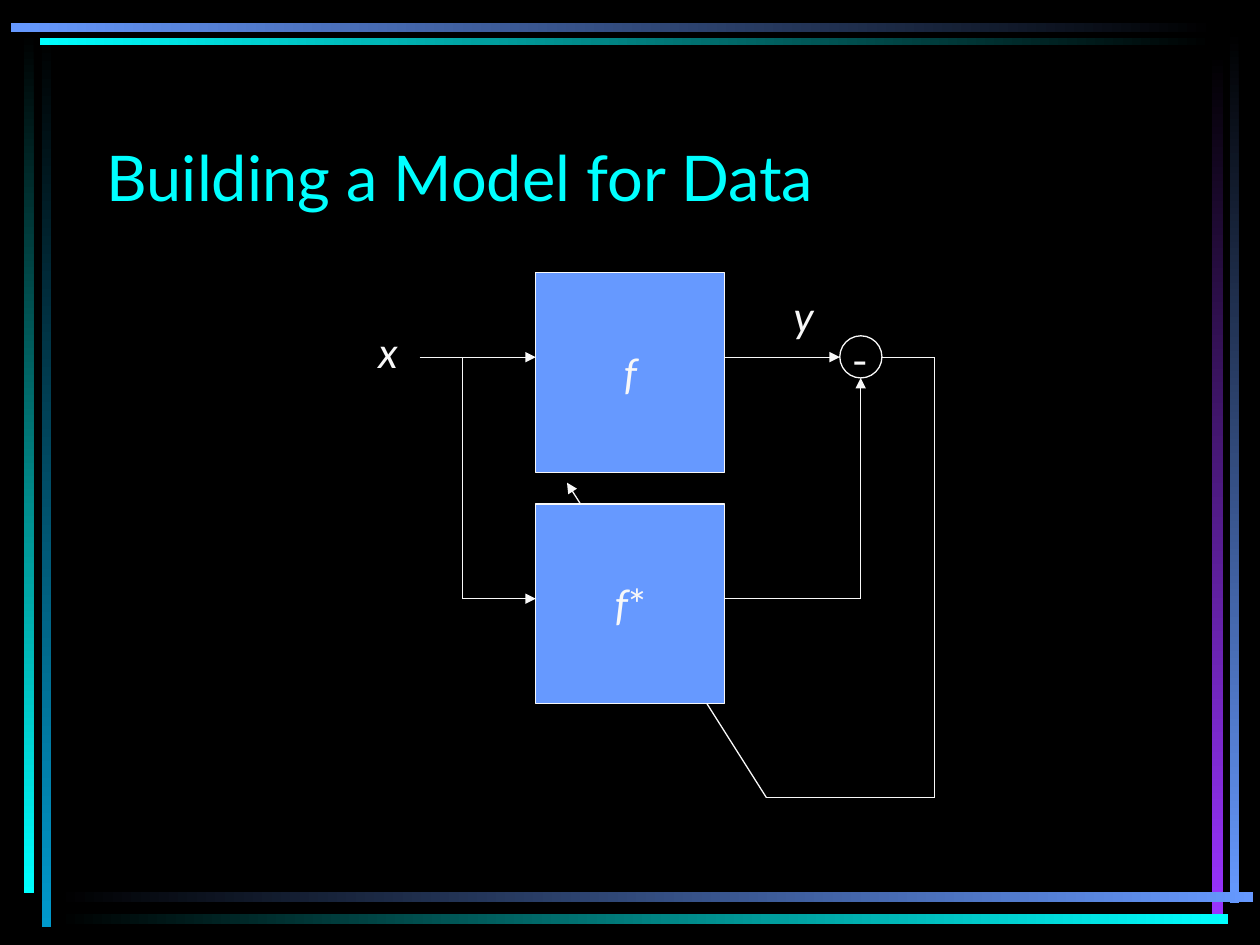
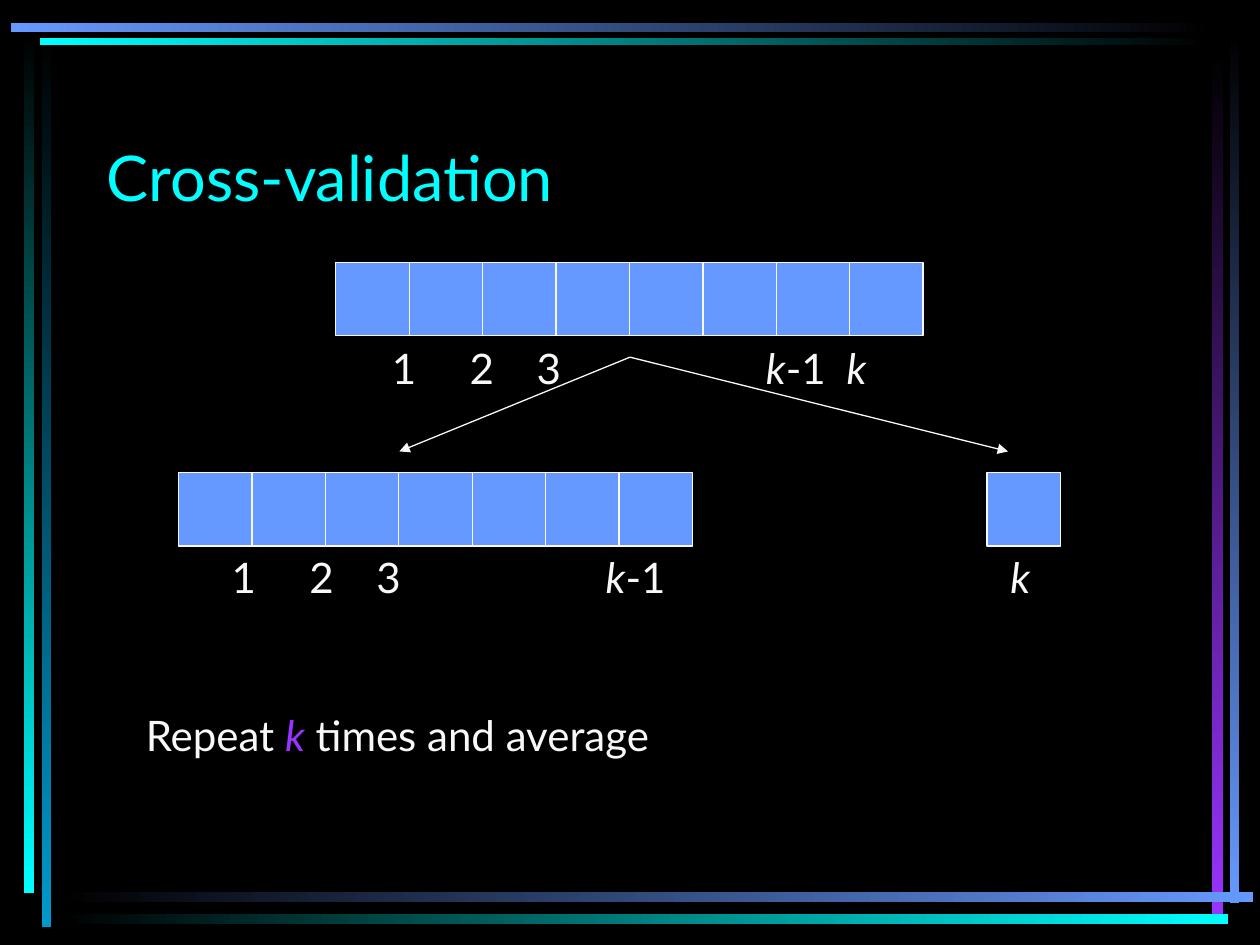
import pptx
import pptx.util
import pptx.dml.color
import pptx.enum.shapes
import pptx.enum.text
import pptx.oxml.ns
from lxml import etree

Cm, Pt = pptx.util.Cm, pptx.util.Pt
SHAPE = pptx.enum.shapes.MSO_SHAPE
ALIGN = pptx.enum.text.PP_ALIGN
ANCHOR = pptx.enum.text.MSO_ANCHOR
qn = pptx.oxml.ns.qn

# Shared look
HUES = {"back": "000000", "cyan": "00FFFF", "blue": "6699FF", "teal": "0099CC",
        "violet": "9933FF", "white": "F8F8F8"}
FONT = "Lato"
TITLE = (1.9, 1.7, 21.59, 2.74)
DOWN, RIGHT, LEFT = 270, 0, 180  # side where a bar reaches full colour
BARS = [
    ((0.84, 0.71, 0.2, 17.98), "teal", DOWN),
    ((0.48, 0.64, 0.2, 17.37), "cyan", DOWN),
    ((24.79, 0.61, 0.18, 17.6), "blue", DOWN),
    ((24.43, 1.07, 0.23, 17.35), "violet", DOWN),
    ((1.14, 17.98, 24.13, 0.2), "blue", RIGHT),
    ((1.14, 18.42, 23.62, 0.2), "cyan", RIGHT),
    ((0.81, 0.76, 23.67, 0.15), "cyan", LEFT),
    ((0.22, 0.47, 24.28, 0.18), "blue", LEFT),
]

# Model slide: each wire is a chain of points ending in an arrow
WIRES = [
    [(8.46, 7.2), (10.8, 7.2)],
    [(9.32, 7.2), (9.32, 12.07), (10.8, 12.07)],
    [(14.61, 7.2), (16.93, 7.2)],
    [(14.61, 12.07), (17.35, 12.07), (17.35, 7.62)],
    [(17.78, 7.2), (18.84, 7.2), (18.84, 16.08), (15.45, 16.08), (11.43, 9.73)],
]
BLOCKS = [
    ((10.8, 5.5, 3.81, 4.02), [("f", {"italic": True})]),
    ((10.8, 10.16, 3.81, 4.02), [("f", {"italic": True}), ("*", {})]),
]
NODE = (16.93, 6.77, 0.85, 0.85)
SIGNS = [
    ((7.19, 6.45, 1.27, 1.27), [("x", {"italic": True})]),
    ((15.44, 5.72, 1.52, 1.27), [("y", {"italic": True})]),
    ((16.94, 6.55, 0.79, 1.27), [("-", {"name": "Times New Roman"})]),
]

# Folds slide
SIDE = 1.48
ROWS = [(6.77, 5.29, 8), (3.6, 9.53, 7), (19.9, 9.53, 1)]  # left, top, cells
STOPS = [1.57, 2.92, 7.54, 9.17]
K = ("k", {"italic": True})
NOTES = [
    ((7.65, 6.77, 10.16, 1.27), [("1\t2\t3\t", {}), K, ("-1\t", {}), K]),
    ((4.42, 11, 9.3, 1.27), [("1\t2\t3\t", {}), K, ("-1", {})]),
    ((20.12, 11, 0.91, 1.27), [K]),
    ((2.69, 14.18, 11.5, 1.27),
     [("Repeat ", {}), ("k", {"italic": True, "hue": "violet"}),
      (" times and average", {})]),
]
SPLITS = [[(12.7, 7.2), (8.05, 9.1)], [(12.7, 7.2), (20.32, 9.1)]]


def rgb(hue):
    return pptx.dml.color.RGBColor.from_string(HUES[hue])


def style(run, size=24, hue="white", name=FONT, italic=False):
    font = run.font
    font.size, font.name, font.italic = Pt(size), name, italic
    font.color.rgb = rgb(hue)


def write(frame, runs, align, anchor):
    frame.word_wrap = True
    frame.vertical_anchor = anchor
    para = frame.paragraphs[0]
    para.alignment = align
    if any("\t" in text for text, _ in runs):
        tabs = etree.SubElement(para._p.get_or_add_pPr(), qn("a:tabLst"))
        for stop in STOPS:
            etree.SubElement(tabs, qn("a:tab"), pos=str(Cm(stop)), algn="l")
    for text, look in runs:
        run = para.add_run()
        run.text = text
        style(run, **look)


def label(slide, place, runs, align=ALIGN.LEFT, anchor=ANCHOR.TOP):
    box = slide.shapes.add_textbox(*map(Cm, place))
    write(box.text_frame, runs, align, anchor)


def shape(slide, kind, place, fill=None):
    item = slide.shapes.add_shape(kind, *map(Cm, place))
    item.shadow.inherit = False
    if fill:
        item.fill.solid()
        item.fill.fore_color.rgb = rgb(fill)
    else:
        item.fill.background()
    item.line.color.rgb = rgb("white")
    item.line.width = Pt(0.75)
    return item


def wire(slide, points):
    for start, end in zip(points, points[1:]):
        line = slide.shapes.add_connector(
            pptx.enum.shapes.MSO_CONNECTOR.STRAIGHT, *map(Cm, start + end))
        line.line.color.rgb = rgb("white")
        line.line.width = Pt(0.75)
        etree.SubElement(line.element.spPr, qn("a:effectLst"))
    etree.SubElement(line.line._get_or_add_ln(), qn("a:tailEnd"), type="triangle")


def frame_layout(layout, slide):
    """Put the ground, title place and fading bars on the layout."""
    layout.background.fill.solid()
    layout.background.fill.fore_color.rgb = rgb("back")
    title = layout.placeholders[0]
    title.left, title.top, title.width, title.height = map(Cm, TITLE)
    title.text_frame.vertical_anchor = ANCHOR.BOTTOM
    for spot, (place, hue, angle) in enumerate(BARS, 2):
        bar = shape(slide, SHAPE.RECTANGLE, place)
        bar.line.fill.background()
        bar.fill.gradient()
        bar.fill.gradient_angle = angle
        for stop, tone in zip(bar.fill.gradient_stops, ("back", hue)):
            stop.color.rgb = rgb(tone)
        layout.shapes.element.insert(spot, bar.element)


def start(deck, layout, text):
    slide = deck.slides.add_slide(layout)
    frame = slide.shapes.title.text_frame
    frame.text = text
    frame.paragraphs[0].alignment = ALIGN.LEFT
    style(frame.paragraphs[0].runs[0], 36, "cyan")
    return slide


def main():
    deck = pptx.Presentation()
    deck.slide_width, deck.slide_height = Cm(25.4), Cm(19.05)
    layout = deck.slide_layouts[5]

    # Model with feedback
    slide = start(deck, layout, "Building a Model for Data")
    frame_layout(layout, slide)
    for points in WIRES:
        wire(slide, points)
    for place, runs in BLOCKS:
        block = shape(slide, SHAPE.RECTANGLE, place, "blue")
        write(block.text_frame, runs, ALIGN.CENTER, ANCHOR.MIDDLE)
    shape(slide, SHAPE.OVAL, NODE)
    for place, runs in SIGNS:
        label(slide, place, runs, ALIGN.CENTER, ANCHOR.MIDDLE)

    # Data folds
    slide = start(deck, layout, "Cross-validation")
    for left, top, count in ROWS:
        for cell in range(count):
            shape(slide, SHAPE.RECTANGLE,
                  (left + cell * SIDE, top, SIDE, SIDE), "blue")
    for place, runs in NOTES:
        label(slide, place, runs)
    for points in SPLITS:
        wire(slide, points)

    deck.save("out.pptx")


if __name__ == "__main__":
    main()
